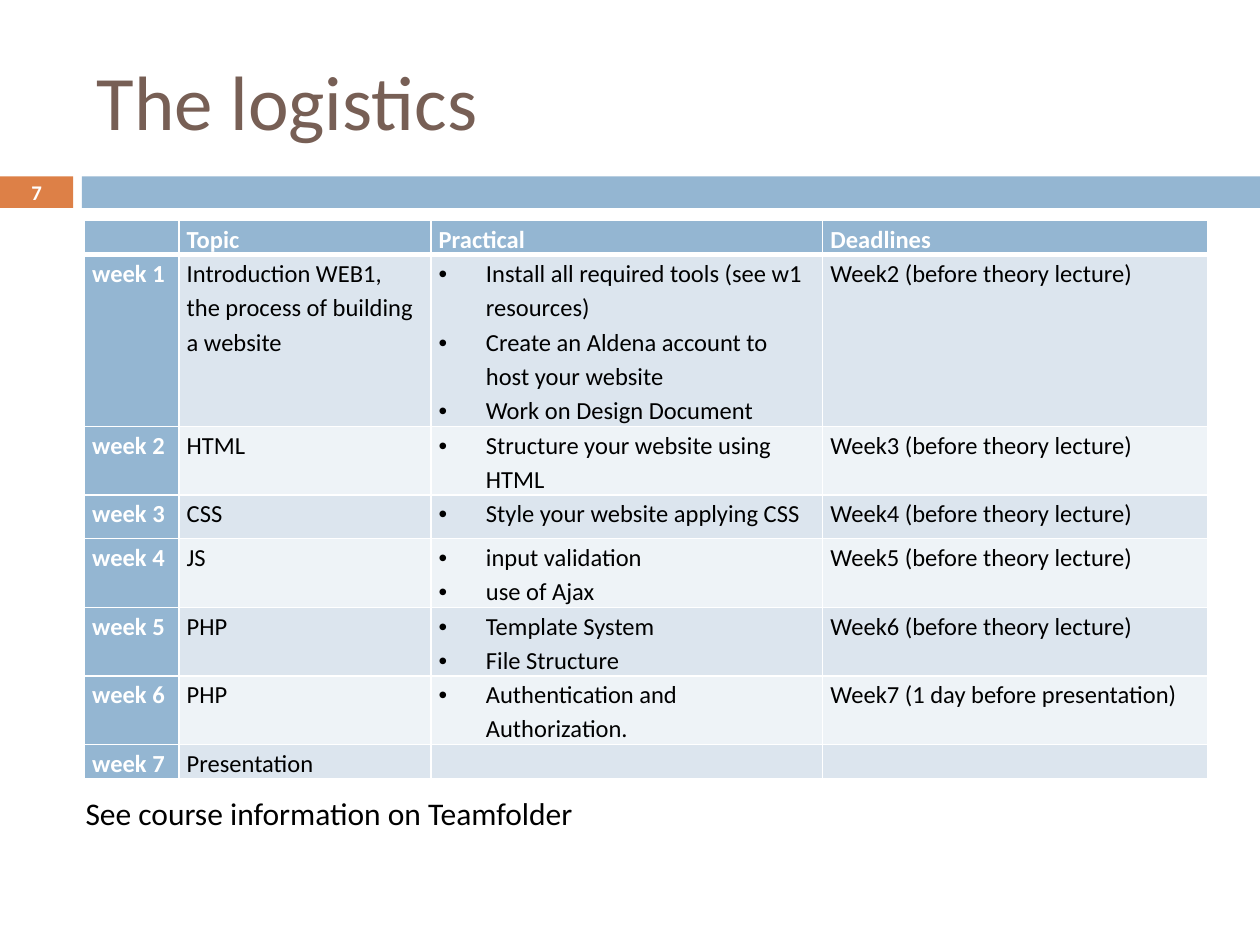
"""Build the course logistics slide with its weekly schedule table."""
from lxml.etree import SubElement
from pptx import Presentation
from pptx.dml.color import RGBColor
from pptx.enum.shapes import MSO_SHAPE as Shape
from pptx.enum.text import MSO_ANCHOR as Anchor, PP_ALIGN as Align
from pptx.oxml.ns import qn
from pptx.util import Pt

COLORS = {"orange": "DD8047", "blue": "94B6D2", "brown": "775F55", "white": "FFFFFF",
          "black": "000000", "odd": "DCE5EE", "even": "EEF3F7"}
FONT = "Calibri"
TITLE = "The logistics"
NUMBER = "7"
FOOTNOTE = "See course information on Teamfolder"
HEADER = ["", "Topic", "Practical", "Deadlines"]
WEEKS = [
    (["Introduction WEB1,", "the process of building a website"],
     ["Install all required tools (see w1 resources)",
      "Create an Aldena account to host your website", "Work on Design Document"],
     "Week2 (before theory lecture)"),
    (["HTML"], ["Structure your website using HTML"], "Week3 (before theory lecture)"),
    (["CSS"], ["Style your website applying CSS"], "Week4 (before theory lecture)"),
    (["JS"], ["input validation", "use of Ajax"], "Week5 (before theory lecture)"),
    (["PHP"], ["Template System", "File Structure"], "Week6 (before theory lecture)"),
    (["PHP"], ["Authentication and Authorization."], "Week7 (1 day before presentation)"),
    (["Presentation"], [""], ""),
]
COL_WIDTHS = [54, 144, 223.9, 220.3]
LINE = 19.6
ROW_LINES = [1, 5, 2, 1.28, 2, 2, 2, 1]
TABLE_LEFT, TABLE_TOP = 48.2, 126
INDENT = 27


def rgb(name):
    return RGBColor.from_string(COLORS[name])


def add_run(p, text, size, color, bold=False):
    r = p.add_run()
    r.text = text
    r.font.name, r.font.size, r.font.bold = FONT, Pt(size), bold
    r.font.color.rgb = rgb(color)


def add_bar(s, left, width, color):
    bar = s.shapes.add_shape(Shape.RECTANGLE, Pt(left), Pt(100.8), Pt(width), Pt(18))
    bar.shadow.inherit = False
    bar.fill.solid()
    bar.fill.fore_color.rgb = rgb(color)
    bar.line.fill.background()


def add_text(s, box, text, size, color, bold=False):
    tf = s.shapes.add_textbox(*map(Pt, box)).text_frame
    tf.word_wrap = True
    add_run(tf.paragraphs[0], text, size, color, bold)
    return tf


def add_bullet(p):
    pPr = p._p.get_or_add_pPr()
    pPr.set("marL", str(Pt(INDENT)))
    pPr.set("indent", str(-Pt(INDENT)))
    SubElement(pPr, qn("a:buFont"), typeface="Arial")
    SubElement(pPr, qn("a:buChar"), char="•")


def set_borders(cell, bottom):
    tcPr = cell._tc.get_or_add_tcPr()
    for side, width in (("L", 1), ("R", 1), ("T", 1), ("B", bottom)):
        ln = SubElement(tcPr, qn(f"a:ln{side}"), w=str(Pt(width)))
        SubElement(SubElement(ln, qn("a:solidFill")), qn("a:srgbClr"), val=COLORS["white"])


def fill_cell(cell, lines, fill, strong, bulleted, bottom):
    set_borders(cell, bottom)
    cell.fill.solid()
    cell.fill.fore_color.rgb = rgb(fill)
    cell.margin_left = cell.margin_right = Pt(4.5)
    cell.margin_top = cell.margin_bottom = 0
    tf = cell.text_frame
    for i, line in enumerate(lines):
        p = tf.add_paragraph() if i else tf.paragraphs[0]
        p.line_spacing = 1.15
        if not line:
            SubElement(p._p, qn("a:endParaRPr"), sz="1400")
            continue
        if bulleted:
            add_bullet(p)
        add_run(p, line, 14, "white" if strong else "black", strong)


def add_schedule(s):
    rows = [[[text] for text in HEADER]]
    rows += [[[f"week {n}"], topic, practical, [deadline]]
             for n, (topic, practical, deadline) in enumerate(WEEKS, 1)]
    table = s.shapes.add_table(len(rows), len(HEADER), Pt(TABLE_LEFT), Pt(TABLE_TOP),
                               Pt(sum(COL_WIDTHS)), Pt(LINE * sum(ROW_LINES))).table
    for column, width in zip(table.columns, COL_WIDTHS):
        column.width = Pt(width)
    for r, row in enumerate(rows):
        table.rows[r].height = Pt(LINE * ROW_LINES[r])
        for c, lines in enumerate(row):
            strong = r == 0 or c == 0
            fill = "blue" if strong else "odd" if r % 2 else "even"
            fill_cell(table.cell(r, c), lines, fill, strong, r > 0 and c == 2,
                      1 if r else 3)


def main():
    prs = Presentation()
    prs.slide_width, prs.slide_height = Pt(720), Pt(540)
    s = prs.slides.add_slide(prs.slide_layouts[5])
    add_bar(s, 0, 41.8, "orange")
    add_bar(s, 46.8, 673.2, "blue")

    title = s.shapes.title
    title.left, title.top, title.width, title.height = map(Pt, (48.2, 18, 642.2, 77.8))
    tf = title.text_frame
    tf.vertical_anchor = Anchor.MIDDLE
    tf.paragraphs[0].alignment = Align.LEFT
    add_run(tf.paragraphs[0], TITLE, 44, "brown")

    tf = add_text(s, (0, 100.1, 41.8, 19.4), NUMBER, 11.9, "white", True)
    tf.margin_top = tf.margin_bottom = 0
    tf.vertical_anchor = Anchor.MIDDLE
    tf.paragraphs[0].alignment = Align.CENTER

    add_schedule(s)
    add_text(s, (41.8, 450, 552.2, 28.8), FOOTNOTE, 18, "black")
    prs.save("out.pptx")


if __name__ == "__main__":
    main()
